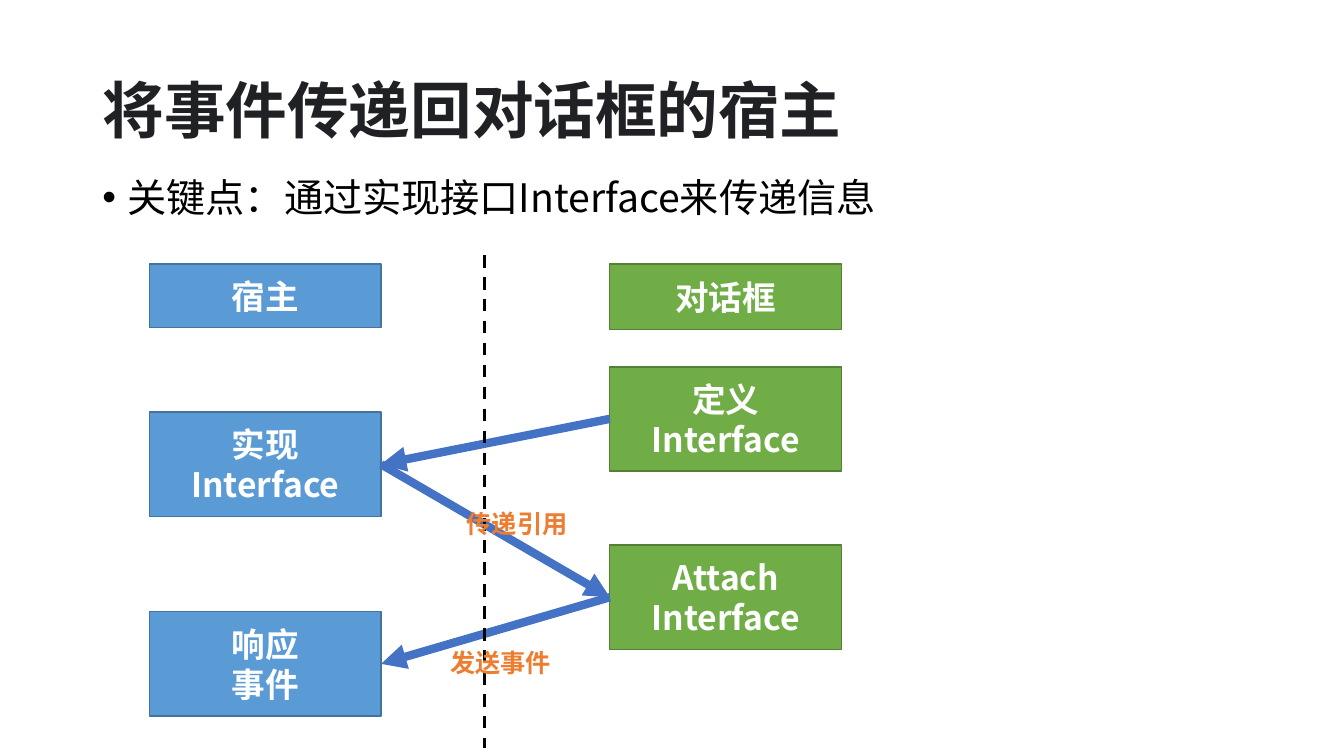
from lxml import etree
from pptx import Presentation
from pptx import util as u
from pptx.dml.color import RGBColor
from pptx.enum import dml, shapes, text
from pptx.oxml.ns import qn

FONT = "Noto Sans CJK SC"
BLUE, GREEN = ("5B9BD5", "43739E"), ("70AD47", "538035")


def color(value):
    return RGBColor.from_string(value)


def write(shape, content, size, ink, bold=True, font=FONT,
          align=text.PP_ALIGN.LEFT, anchor=text.MSO_ANCHOR.TOP, spacing=1.0):
    frame = shape.text_frame
    frame.text = content
    frame_format = {"word_wrap": True, "auto_size": text.MSO_AUTO_SIZE.NONE,
                    "vertical_anchor": anchor}
    for name, value in frame_format.items():
        setattr(frame, name, value)
    for paragraph in frame.paragraphs:
        paragraph.alignment = align
        paragraph.line_spacing = spacing
        run = paragraph.runs[0]
        for name, value in {"name": font, "size": u.Pt(size), "bold": bold}.items():
            setattr(run.font, name, value)
        run.font.color.rgb = color(ink)
        east_asian = etree.SubElement(run.font._element, qn("a:ea"))
        east_asian.set("typeface", FONT)


presentation = Presentation()
presentation.slide_width, presentation.slide_height = u.Pt(960), u.Pt(540)
slide = presentation.slides.add_slide(presentation.slide_layouts[5])

title = slide.shapes.title
title_place = {"left": 66, "top": 28.75, "width": 828, "height": 104.4}
for name, value in title_place.items():
    setattr(title, name, u.Pt(value))
write(title, "将事件传递回对话框的宿主", 44, "202124", font="Roboto",
      anchor=text.MSO_ANCHOR.MIDDLE, spacing=0.9)

key_point = slide.shapes.add_textbox(u.Pt(66), u.Pt(123.8), u.Pt(828), u.Pt(39))
write(key_point, "关键点：通过实现接口Interface来传递信息", 28, "000000", bold=False, spacing=0.9)
paragraph = key_point.text_frame.paragraphs[0]
paragraph.space_before = u.Pt(10)
properties = paragraph._p.get_or_add_pPr()
properties.set("marL", str(u.Pt(18)))
properties.set("indent", str(u.Pt(-18)))
etree.SubElement(properties, qn("a:buFont")).set("typeface", "Arial")
etree.SubElement(properties, qn("a:buChar")).set("char", "•")

HOST_LEFT, DIALOG_LEFT, BOX_WIDTH, STEP_HEIGHT = 106.6, 435.6, 165.6, 74.4
boxes = {}
for key, content, left, top, height, (fill, outline) in [
    ("host", "宿主", HOST_LEFT, 188.6, 45.4, BLUE),
    ("dialog", "对话框", DIALOG_LEFT, 188.6, 46.8, GREEN),
    ("define", "定义\nInterface", DIALOG_LEFT, 262, STEP_HEIGHT, GREEN),
    ("implement", "实现\nInterface", HOST_LEFT, 294.4, STEP_HEIGHT, BLUE),
    ("attach", "Attach\nInterface", DIALOG_LEFT, 389.4, STEP_HEIGHT, GREEN),
    ("respond", "响应\n事件", HOST_LEFT, 437, STEP_HEIGHT, BLUE),
]:
    box = slide.shapes.add_shape(shapes.MSO_SHAPE.RECTANGLE, u.Pt(left), u.Pt(top),
                                 u.Pt(BOX_WIDTH), u.Pt(height))
    box.shadow.inherit = False
    box.fill.solid()
    box.fill.fore_color.rgb = color(fill)
    box.line.color.rgb = color(outline)
    box.line.width = u.Pt(1)
    write(box, content, 24, "FFFFFF", align=text.PP_ALIGN.CENTER,
          anchor=text.MSO_ANCHOR.MIDDLE)
    boxes[key] = box

LEFT_SIDE, RIGHT_SIDE = 1, 3
connectors = []
for start, start_side, end, end_side in [
    ("define", LEFT_SIDE, "implement", RIGHT_SIDE),
    ("implement", RIGHT_SIDE, "attach", LEFT_SIDE),
    ("attach", LEFT_SIDE, "respond", RIGHT_SIDE),
]:
    arrow = slide.shapes.add_connector(shapes.MSO_CONNECTOR.STRAIGHT, 0, 0, 0, 0)
    arrow.begin_connect(boxes[start], start_side)
    arrow.end_connect(boxes[end], end_side)
    arrow.line.color.rgb = color("4472C4")
    arrow.line.width = u.Pt(6)
    etree.SubElement(arrow.line._get_or_add_ln(), qn("a:tailEnd")).set("type", "triangle")
    connectors.append(arrow)

divider = slide.shapes.add_connector(shapes.MSO_CONNECTOR.STRAIGHT, u.Pt(346.3), u.Pt(182.2),
                                     u.Pt(346.3), u.Pt(534.2))
divider.line.color.rgb = color("000000")
divider.line.width = u.Pt(2.25)
divider.line.dash_style = dml.MSO_LINE.DASH
for connector in connectors + [divider]:
    etree.SubElement(connector._element.spPr, qn("a:effectLst"))

for content, left, top in [("发送事件", 314.6, 458.6), ("传递引用", 326.2, 359.3)]:
    label = slide.shapes.add_textbox(u.Pt(left), u.Pt(top), u.Pt(94.3), u.Pt(29))
    write(label, content, 18, "ED7D31")

presentation.save("out.pptx")
